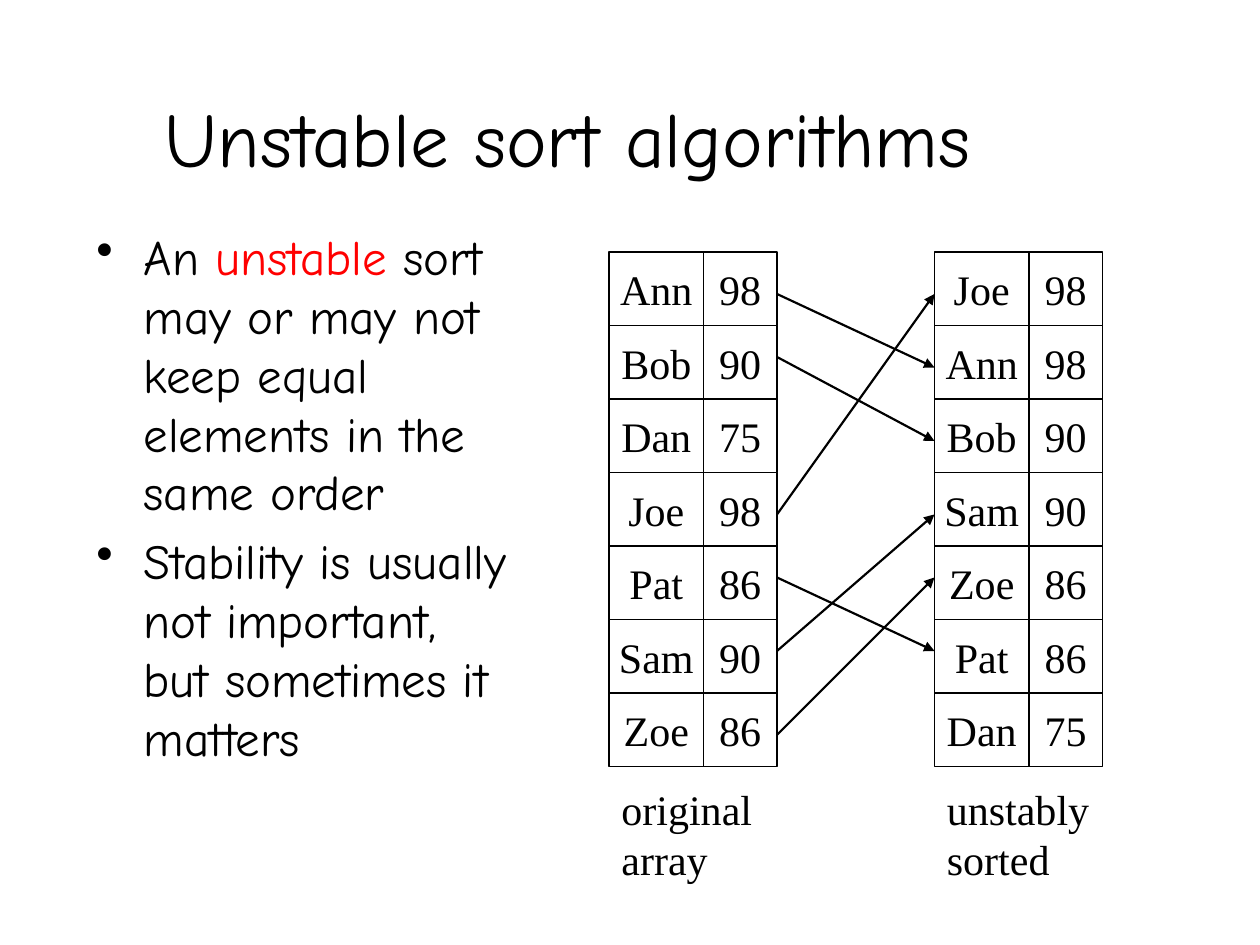
import pptx
import pptx.dml.color
import pptx.enum.shapes
import pptx.enum.text
import pptx.oxml
import pptx.oxml.ns
import pptx.util

Pt = pptx.util.Pt
ALIGN = pptx.enum.text.PP_ALIGN
ANCHOR = pptx.enum.text.MSO_ANCHOR

COLORS = {"ink": "000000", "accent": "FF0000"}
HEADING = {"name": "Comic Neue", "size": Pt(44)}
BODY = {"name": "Comic Neue", "size": Pt(28)}
ARRAY = {"name": "Times New Roman", "size": Pt(24)}

TOP, ROW = 144, 42
NAME_WIDTH, SCORE_WIDTH = 54, 42
ORIGINAL_LEFT, SORTED_LEFT = 348, 534
ARRAY_WIDTH = NAME_WIDTH + SCORE_WIDTH

SCORES = {"Ann": 98, "Bob": 90, "Dan": 75, "Joe": 98,
          "Pat": 86, "Sam": 90, "Zoe": 86}
ORIGINAL = list(SCORES)
UNSTABLE = ["Joe", "Ann", "Bob", "Sam", "Zoe", "Pat", "Dan"]
MOVES = [
    [("Ann", 24, 24), ("Joe", 24, 24)],
    [("Bob", 18, 24), ("Sam", 18, 24)],
    [("Zoe", 24, 18), ("Pat", 18, 18)],
]


def rgb(color):
    return pptx.dml.color.RGBColor.from_string(COLORS[color])


def apply(target, values):
    for attribute, value in values.items():
        setattr(target, attribute, value)


def element(tag, attributes=""):
    namespace = pptx.oxml.ns.nsdecls("a")
    return pptx.oxml.parse_xml(f"<a:{tag} {namespace} {attributes}/>")


class SlideBuilder:
    def __init__(self, slide):
        self.slide = slide

    def group(self):
        return self.slide.shapes.add_group_shape().shapes

    def add_runs(self, paragraph, runs, font):
        for content, color in runs:
            run = paragraph.add_run()
            run.text = content
            apply(run.font, font)
            run.font.color.rgb = rgb(color)

    def text(self, box, paragraphs, font, shapes=None, align=ALIGN.LEFT,
             anchor=ANCHOR.TOP, bullets=False):
        shapes = shapes or self.slide.shapes
        frame = shapes.add_textbox(*map(Pt, box)).text_frame
        apply(frame, {"word_wrap": True, "vertical_anchor": anchor})
        for index, runs in enumerate(paragraphs):
            paragraph = frame.add_paragraph() if index else frame.paragraphs[0]
            paragraph.alignment = align
            if index:
                paragraph.space_before = Pt(5.6)
            if bullets:
                properties = paragraph._p.get_or_add_pPr()
                properties.set("marL", str(Pt(27)))
                properties.set("indent", str(-Pt(27)))
                properties.append(element("buChar", 'char="•"'))
            self.add_runs(paragraph, runs, font)

    def cell(self, shapes, box, content):
        kind = pptx.enum.shapes.MSO_SHAPE.RECTANGLE
        cell = shapes.add_shape(kind, *map(Pt, box))
        cell.shadow.inherit = False
        cell.fill.background()
        cell.line.color.rgb = rgb("ink")
        cell.line.width = Pt(1)
        frame = cell.text_frame
        apply(frame, {"word_wrap": False, "vertical_anchor": ANCHOR.MIDDLE})
        frame.paragraphs[0].alignment = ALIGN.CENTER
        self.add_runs(frame.paragraphs[0], [(content, "ink")], ARRAY)

    def array(self, left, names, caption):
        shapes = self.group()
        for row, name in enumerate(names):
            top = TOP + row * ROW
            self.cell(shapes, (left, top, NAME_WIDTH, ROW), name)
            self.cell(shapes, (left + NAME_WIDTH, top, SCORE_WIDTH, ROW),
                      str(SCORES[name]))
        box = (left, TOP + len(names) * ROW + 6, ARRAY_WIDTH, 65)
        self.text(box, [[(caption, "ink")]], ARRAY, shapes)

    def arrow(self, shapes, start, end):
        kind = pptx.enum.shapes.MSO_CONNECTOR.STRAIGHT
        arrow = shapes.add_connector(kind, *map(Pt, start + end))
        arrow.line.color.rgb = rgb("ink")
        arrow.line.width = Pt(1.25)
        arrow.line._get_or_add_ln().append(element("tailEnd", 'type="triangle"'))
        arrow._element.spPr.append(element("effectLst"))


def main():
    deck = pptx.Presentation()
    apply(deck, {"slide_width": Pt(720), "slide_height": Pt(540)})
    builder = SlideBuilder(deck.slides.add_slide(deck.slide_layouts[6]))

    builder.text((54, 12, 541, 96), [[("Unstable sort algorithms", "ink")]],
                 HEADING, align=ALIGN.CENTER, anchor=ANCHOR.BOTTOM)
    points = [
        [("An ", "ink"), ("unstable", "accent"),
         (" sort may or may not keep equal elements in the same order", "ink")],
        [("Stability is usually not important, but sometimes it matters",
          "ink")],
    ]
    builder.text((48, 126, 252, 360), points, BODY, bullets=True)

    builder.array(ORIGINAL_LEFT, ORIGINAL, "original array")
    builder.array(SORTED_LEFT, UNSTABLE, "unstably sorted")

    for pair in MOVES:
        shapes = builder.group()
        for name, start_offset, end_offset in pair:
            start = TOP + ORIGINAL.index(name) * ROW + start_offset
            end = TOP + UNSTABLE.index(name) * ROW + end_offset
            builder.arrow(shapes, (ORIGINAL_LEFT + ARRAY_WIDTH, start),
                          (SORTED_LEFT, end))

    deck.save("out.pptx")


if __name__ == "__main__":
    main()
